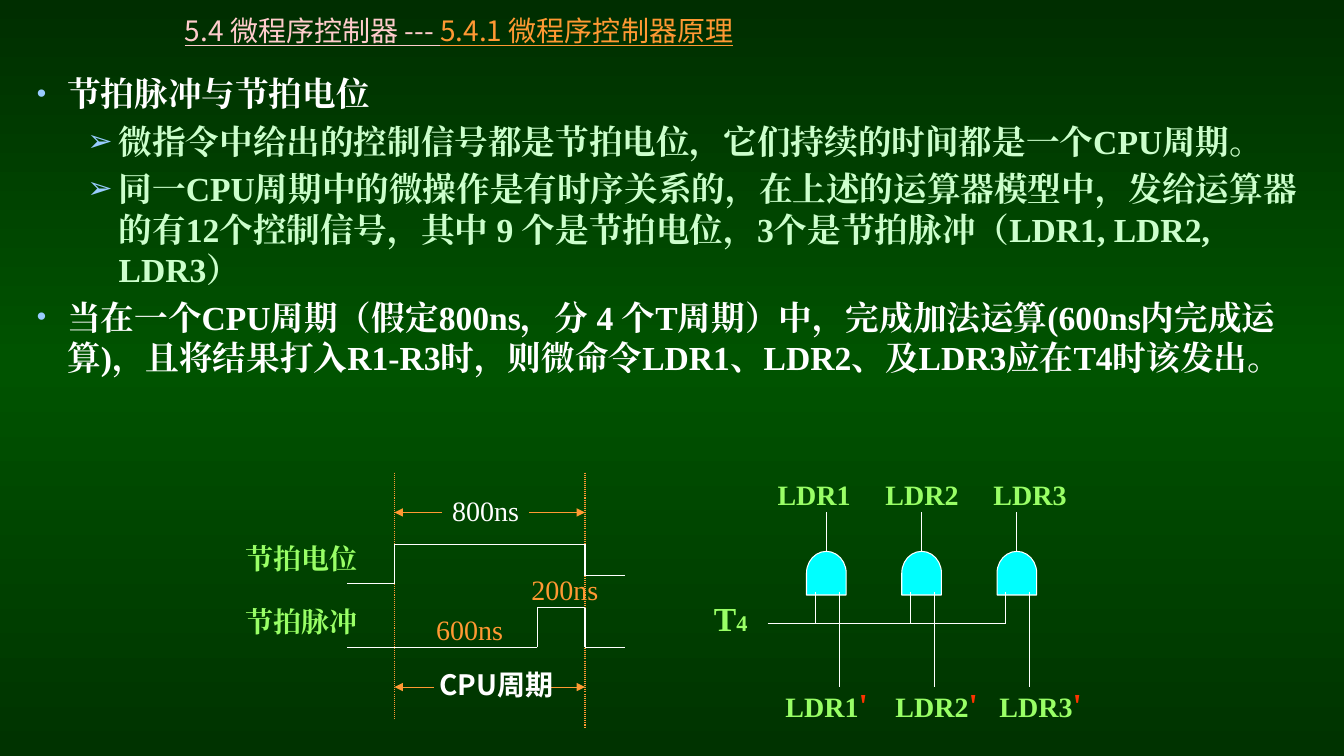
from copy import deepcopy
from itertools import pairwise

from lxml import etree
from pptx import Presentation
from pptx.dml.color import RGBColor
from pptx.enum.dml import MSO_LINE
from pptx.enum.shapes import MSO_CONNECTOR, MSO_SHAPE
from pptx.enum.text import MSO_ANCHOR, MSO_AUTO_SIZE, PP_ALIGN
from pptx.oxml.ns import qn
from pptx.util import Inches, Mm, Pt

STRAIGHT = MSO_CONNECTOR.STRAIGHT
DELAY_GATE = MSO_SHAPE.FLOWCHART_DELAY
DOTTED = MSO_LINE.ROUND_DOT
MIDDLE = MSO_ANCHOR.MIDDLE
TOP = MSO_ANCHOR.TOP
NO_AUTOSIZE = MSO_AUTO_SIZE.NONE
LEFT = PP_ALIGN.LEFT

SERIF = "Times New Roman"
SANS = "Noto Sans CJK SC"
WHITE, ORANGE, GREEN, RED = "FFFFFF", "FF9933", "99FF66", "FF3300"
PINK, MINT, SKY, CYAN = "FFCCCC", "CCFFCC", "99CCFF", "00FFFF"


def rgb(value):
    return RGBColor.from_string(value)


def child(parent, tag, **attributes):
    return etree.SubElement(parent, qn(tag), attributes)


class TimingSlide:
    cell = Mm(2)
    origin_x, origin_y = Inches(3.44), Inches(4.69)

    def __init__(self, deck):
        self.deck = deck
        self.slide = deck.slides.add_slide(deck.slide_layouts[1])
        self.shapes = self.slide.shapes

    def x(self, column):
        return int(self.origin_x + column * self.cell)

    def y(self, row):
        return int(self.origin_y + row * self.cell)

    def size(self, cells):
        return int(cells * self.cell)

    def background(self, stops, angle):
        fill = self.slide.background.fill
        fill.gradient()
        fill.gradient_angle = angle
        stop_list = self.slide._element.find(".//" + qn("a:gsLst"))
        stop_list.append(deepcopy(stop_list[0]))
        for stop, (position, color) in zip(fill.gradient_stops, stops):
            stop.position = position
            stop.color.rgb = rgb(color)

    def fill_text(self, paragraph, runs, size, color, face=SERIF, bold=False):
        font = paragraph.font
        font.size, font.bold, font.name = Pt(size), bold, face
        font.color.rgb = rgb(color)
        child(paragraph._p.pPr.find(qn("a:defRPr")), "a:ea", typeface=face)
        for words, run_color, run_size in runs:
            run = paragraph.add_run()
            run.text = words
            if run_color != color:
                run.font.color.rgb = rgb(run_color)
            if run_size != size:
                run.font.size = Pt(run_size)

    def place(self, holder, left, top, width, height, anchor):
        slide_width, slide_height = self.deck.slide_width, self.deck.slide_height
        holder.left, holder.top = int(left * slide_width), int(top * slide_height)
        holder.width, holder.height = int(width * slide_width), int(height * slide_height)
        frame = holder.text_frame
        frame.auto_size, frame.word_wrap = NO_AUTOSIZE, True
        frame.vertical_anchor = anchor
        return frame

    def title(self, runs, box):
        heading = self.place(self.shapes.title, *box, MIDDLE).paragraphs[0]
        heading.alignment = LEFT
        self.fill_text(heading, [(words, color, 20) for words, color in runs], 20, PINK, SANS)
        heading.font.underline = True

    def bullets(self, points, box):
        frame = self.place(self.slide.placeholders[1], *box, TOP)
        styles = [("•", "80000", 0.3, 0.3, WHITE), ("➢", "90000", 0.81, 0.31, MINT)]
        for index, (level, words) in enumerate(points):
            point = frame.add_paragraph() if index else frame.paragraphs[0]
            mark, mark_size, margin, hanging, color = styles[level]
            properties = point._p.get_or_add_pPr()
            properties.set("marL", str(Inches(margin)))
            properties.set("indent", str(-Inches(hanging)))
            child(child(properties, "a:buClr"), "a:srgbClr", val=SKY)
            child(properties, "a:buSzPct", val=mark_size)
            child(properties, "a:buChar", char=mark)
            point.level = level
            point.alignment = LEFT
            point.space_before, point.line_spacing = Pt(4.8), Pt(29)
            self.fill_text(point, [(words, color, 24)], 24, color, bold=True)

    def label(self, column, row, width, runs, size=20, color=GREEN,
              face=SERIF, bold=True, height=5.5, tabs=()):
        box = self.shapes.add_textbox(self.x(column), self.y(row), self.size(width), self.size(height))
        frame = box.text_frame
        frame.word_wrap = True
        paragraph = frame.paragraphs[0]
        if tabs:
            tab_list = child(paragraph._p.get_or_add_pPr(), "a:tabLst")
            for tab in tabs:
                child(tab_list, "a:tab", pos=str(self.size(tab)), algn="l")
        if isinstance(runs, str):
            runs = [(runs, color, size)]
        self.fill_text(paragraph, runs, size, color, face, bold)

    def wire(self, *corners, color=WHITE, dotted=False, arrow=False):
        for start, end in pairwise(corners):
            line = self.shapes.add_connector(
                STRAIGHT, self.x(start[0]), self.y(start[1]), self.x(end[0]), self.y(end[1]))
            line.line.color.rgb = rgb(color)
            line.line.width = Pt(0.75)
            if dotted:
                line.line.dash_style = DOTTED
            if arrow:
                child(line._element.spPr.find(qn("a:ln")), "a:tailEnd", type="triangle")
            child(line._element.spPr, "a:effectLst")

    def gate(self, center_column, center_row, length=5.5, breadth=5):
        gate = self.shapes.add_shape(
            DELAY_GATE, self.x(center_column - length / 2), self.y(center_row - breadth / 2),
            self.size(length), self.size(breadth))
        gate.rotation = 270
        gate.shadow.inherit = False
        gate.fill.solid()
        gate.fill.fore_color.rgb = rgb(CYAN)
        gate.line.color.rgb = rgb(WHITE)
        gate.line.width = Pt(0.75)


def draw_timing(page):
    page.wire((30, 0), (30, 32), color=ORANGE, dotted=True)
    page.wire((6, 0), (6, 31), color=ORANGE, dotted=True)
    page.wire((0, 14), (6, 14), (6, 9), (30, 9), (30, 13), (35, 13))
    page.wire((0, 22), (24, 22), (24, 17), (30, 17), (30, 22), (35, 22))
    for row, left_start, right_start in [(5, 12, 23), (27, 11, 25)]:
        page.wire((left_start, row), (6, row), color=ORANGE, arrow=True)
        page.wire((right_start, row), (30, row), color=ORANGE, arrow=True)
    page.label(10.4, 23.9, 18, "CPU周期", color=WHITE, face=SANS)
    for duration, column, row, color in [
            ("200ns", 22, 12, ORANGE), ("600ns", 10, 17, ORANGE), ("800ns", 12, 2, WHITE)]:
        page.label(column, row, 12, duration, color=color, bold=False)
    for signal, row in [("节拍电位", 8), ("节拍脉冲", 16)]:
        page.label(-14, row, 17, signal)


def draw_gates(page):
    page.wire((53, 19), (83, 19))
    for column in (59, 71, 83):
        page.gate(column + 1.4, 12.65)
        page.wire((column, 19), (column, 15))
        page.wire((column + 3, 15), (column + 3, 27))
        page.wire((column + 1.4, 10), (column + 1.4, 5))
    page.label(53, 0, 42, "LDR1\tLDR2\tLDR3", tabs=(13.6, 27.2))
    inputs = []
    for name in ("LDR1", "\tLDR2", "\tLDR3"):
        inputs += [(name, GREEN, 20), ("'", RED, 24)]
    page.label(54, 26, 42, inputs, height=6.4, tabs=(13.85, 26.95))
    page.label(45, 15.1, 9, [("T", GREEN, 24), ("4", GREEN, 16)], size=24, height=6.4)


def main():
    deck = Presentation()
    deck.slide_width, deck.slide_height = Inches(13.33), Inches(7.5)
    page = TimingSlide(deck)
    page.background([(0, "002E00"), (0.48, "005300"), (1, "003300")], 270)
    page.title([("5.4 微程序控制器 --- ", PINK), ("5.4.1 微程序控制器原理", ORANGE)],
               (0.13, 0.01, 0.73, 0.06))
    page.bullets([
        (0, "节拍脉冲与节拍电位"),
        (1, "微指令中给出的控制信号都是节拍电位，它们持续的时间都是一个CPU周期。"),
        (1, "同一CPU周期中的微操作是有时序关系的，在上述的运算器模型中，发给运算器的有12个控制信号，"
            "其中 9 个是节拍电位，3个是节拍脉冲（LDR1, LDR2, LDR3）"),
        (0, "当在一个CPU周期（假定800ns，分 4 个T周期）中，完成加法运算(600ns内完成运算)，"
            "且将结果打入R1-R3时，则微命令LDR1、LDR2、及LDR3应在T4时该发出。"),
    ], (0.02, 0.09, 0.96, 0.88))
    draw_timing(page)
    draw_gates(page)
    deck.save("out.pptx")


if __name__ == "__main__":
    main()
